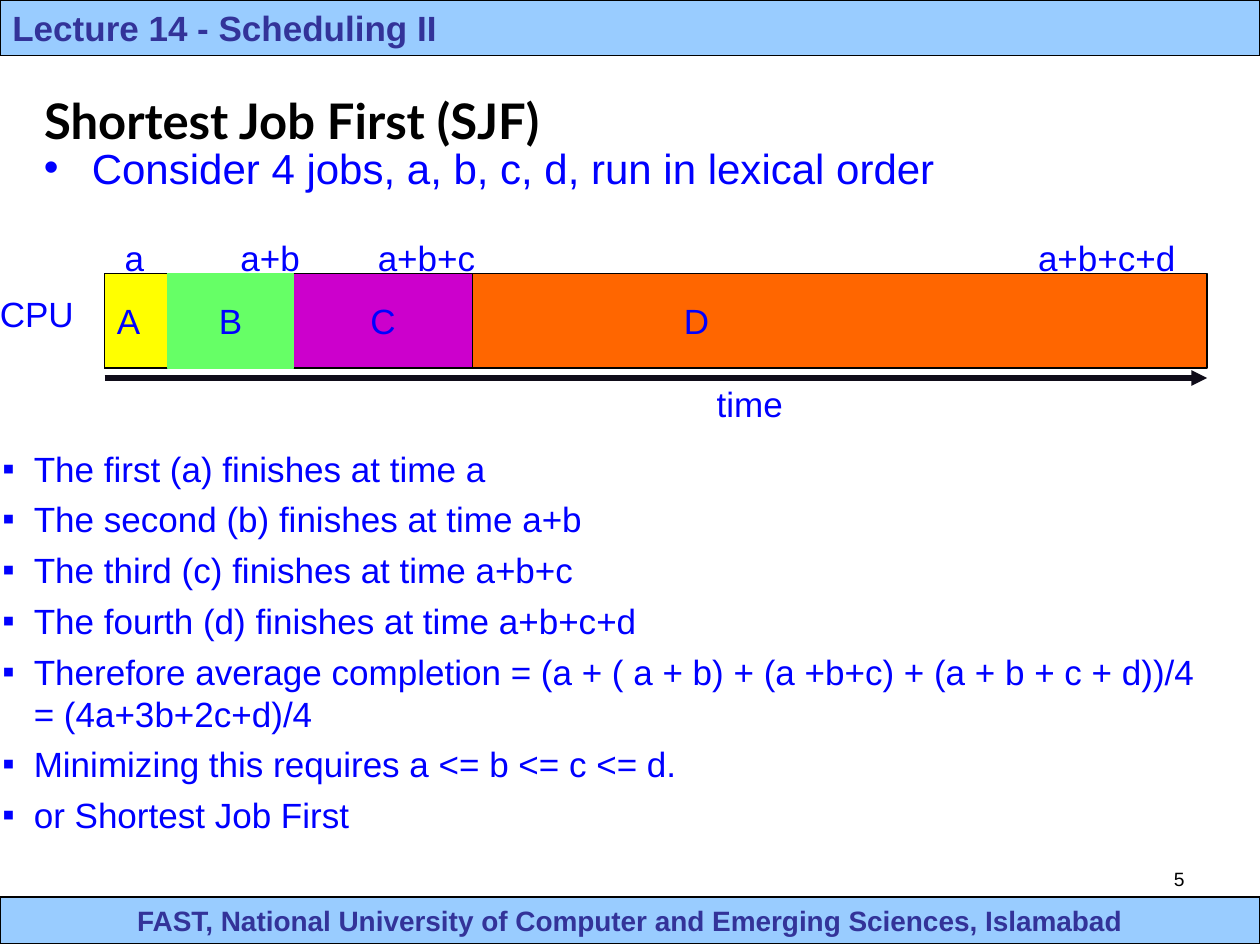
from lxml import etree
from pptx import Presentation
from pptx.dml.color import RGBColor
from pptx.enum.shapes import MSO_CONNECTOR, MSO_SHAPE
from pptx.enum.text import MSO_ANCHOR, PP_ALIGN
from pptx.oxml.ns import qn
from pptx.util import Inches, Pt

COLORS = {
    "band": "99CCFF", "band_text": "333399", "text": "0000FF", "black": "000000",
    "axis": "0F0C19", "a": "FFFF00", "b": "66FF66", "c": "CC00CC", "d": "FF6600",
}
WIDTH, HEIGHT = 10, 7.5
BAR_LEFT, BAR_TOP, BAR_WIDTH, BAR_HEIGHT = 0.83, 2.17, 8.75, 0.75
FINISH_TIMES = ["a", "a+b", "a+b+c", "a+b+c+d"]
TIME_STOPS = [0.92, 2.01, 7.25]
CONCLUSIONS = [
    "The first (a) finishes at time a",
    "The second (b) finishes at time a+b",
    "The third (c) finishes at time a+b+c",
    "The fourth (d) finishes at time a+b+c+d",
    "Therefore average completion = (a + ( a + b) + (a +b+c) + (a + b + c + d))/4"
    " = (4a+3b+2c+d)/4",
    "Minimizing this requires a <= b <= c <= d.",
    "or Shortest Job First",
]


def rgb(name):
    return RGBColor.from_string(COLORS[name])


def format_paragraph(paragraph, size=20, color="text", bold=False,
                     align=PP_ALIGN.LEFT, font="Arial"):
    paragraph.alignment = align
    paragraph.font.name = font
    paragraph.font.size = Pt(size)
    paragraph.font.bold = bold
    paragraph.font.color.rgb = rgb(color)


def add_bullet(paragraph, character, margin, hanging):
    properties = paragraph._p.get_or_add_pPr()
    properties.set("marL", str(Inches(margin)))
    properties.set("indent", str(-Inches(hanging)))
    color = etree.SubElement(properties, qn("a:buClr"))
    etree.SubElement(color, qn("a:srgbClr"), val=COLORS["text"])
    etree.SubElement(properties, qn("a:buFont"), typeface="Arial")
    etree.SubElement(properties, qn("a:buChar"), char=character)


def add_tab_stops(paragraph, stops):
    tabs = etree.SubElement(paragraph._p.get_or_add_pPr(), qn("a:tabLst"))
    for stop in stops:
        etree.SubElement(tabs, qn("a:tab"), pos=str(Inches(stop)), algn="l")


def add_box(slide, left, top, width, height, fill, line, line_width=1):
    box = slide.shapes.add_shape(MSO_SHAPE.RECTANGLE, Inches(left), Inches(top),
                                 Inches(width), Inches(height))
    box.shadow.inherit = False
    box.fill.solid()
    box.fill.fore_color.rgb = rgb(fill)
    box.line.color.rgb = rgb(line)
    box.line.width = Pt(line_width)
    return box


def add_band(slide, text, top, height, size, align):
    band = add_box(slide, 0, top, WIDTH, height, "band", "black", 0.75)
    band.text_frame.text = text
    format_paragraph(band.text_frame.paragraphs[0], size, "band_text", True, align)


def add_job(slide, name, left, width, align, line="black"):
    job = add_box(slide, left, BAR_TOP, width, BAR_HEIGHT, name.lower(), line)
    job.text_frame.word_wrap = False
    job.text_frame.text = name
    format_paragraph(job.text_frame.paragraphs[0], align=align)


def add_text(slide, text, left, top, width, height, wrap=True):
    frame = slide.shapes.add_textbox(Inches(left), Inches(top), Inches(width),
                                     Inches(height)).text_frame
    frame.word_wrap = wrap
    frame.text = text
    return frame


def add_label(slide, text, left, top, width, height=0.44, **style):
    frame = add_text(slide, text, left, top, width, height)
    format_paragraph(frame.paragraphs[0], **style)


def add_bullets(slide, items, area, character, margin, hanging, size, gap=0):
    frame = add_text(slide, "\n".join(items), *area)
    for index, paragraph in enumerate(frame.paragraphs):
        add_bullet(paragraph, character, margin, hanging)
        format_paragraph(paragraph, size)
        if index:
            paragraph.space_before = Pt(gap)


def add_finish_times(slide):
    frame = add_text(slide, "\t".join(FINISH_TIMES), 0.89, 1.82, 9.03, 0.44, False)
    frame.vertical_anchor = MSO_ANCHOR.MIDDLE
    add_tab_stops(frame.paragraphs[0], TIME_STOPS)
    format_paragraph(frame.paragraphs[0])


def add_time_axis(slide):
    axis = slide.shapes.add_connector(MSO_CONNECTOR.STRAIGHT, Inches(BAR_LEFT), Inches(3),
                                      Inches(BAR_LEFT + BAR_WIDTH), Inches(3))
    axis.line.color.rgb = rgb("axis")
    axis.line.width = Pt(3)
    etree.SubElement(axis.line._get_or_add_ln(), qn("a:tailEnd"), type="triangle")
    etree.SubElement(axis._element.spPr, qn("a:effectLst"))


def set_title(slide, text):
    title = slide.shapes.title
    title.left, title.top = Inches(0.25), Inches(0.58)
    title.width, title.height = Inches(9), Inches(0.75)
    title.text_frame.text = text
    title.text_frame.vertical_anchor = MSO_ANCHOR.MIDDLE
    format_paragraph(title.text_frame.paragraphs[0], 28, "black", True, font="Lato")


def main():
    presentation = Presentation()
    presentation.slide_width, presentation.slide_height = Inches(WIDTH), Inches(HEIGHT)
    slide = presentation.slides.add_slide(presentation.slide_layouts[5])

    add_band(slide, "FAST, National University of Computer and Emerging Sciences, Islamabad",
             7.12, 0.37, 16, PP_ALIGN.CENTER)
    add_band(slide, "Lecture 14 - Scheduling II", 0, 0.44, 20, PP_ALIGN.LEFT)
    add_label(slide, "5", 7.17, 6.83, 2.33, 0.52,
              size=11, color="black", align=PP_ALIGN.RIGHT)
    set_title(slide, "Shortest Job First (SJF)")
    add_bullets(slide, ["Consider 4 jobs, a, b, c, d, run in lexical order"],
                (0.25, 1.08, 9.75, 5.67), "•", 0.38, 0.38, 24)

    add_box(slide, BAR_LEFT, BAR_TOP, BAR_WIDTH, BAR_HEIGHT, "d", "black")
    add_label(slide, "CPU", -0.1, 2.27, 0.85)
    add_time_axis(slide)
    add_label(slide, "time", 5.59, 2.99, 0.8)
    add_label(slide, "D", 5.33, 2.33, 1.21)
    add_job(slide, "A", BAR_LEFT, 1.5, PP_ALIGN.LEFT)
    add_job(slide, "C", 2.33, 1.42, PP_ALIGN.CENTER)
    add_job(slide, "B", 1.33, 1, PP_ALIGN.CENTER, line="b")
    add_finish_times(slide)

    add_bullets(slide, CONCLUSIONS, (-0.33, 3.5, 10, 3.19), "▪", 0.5, 0.25, 20, gap=5)
    presentation.save("out.pptx")


if __name__ == "__main__":
    main()
